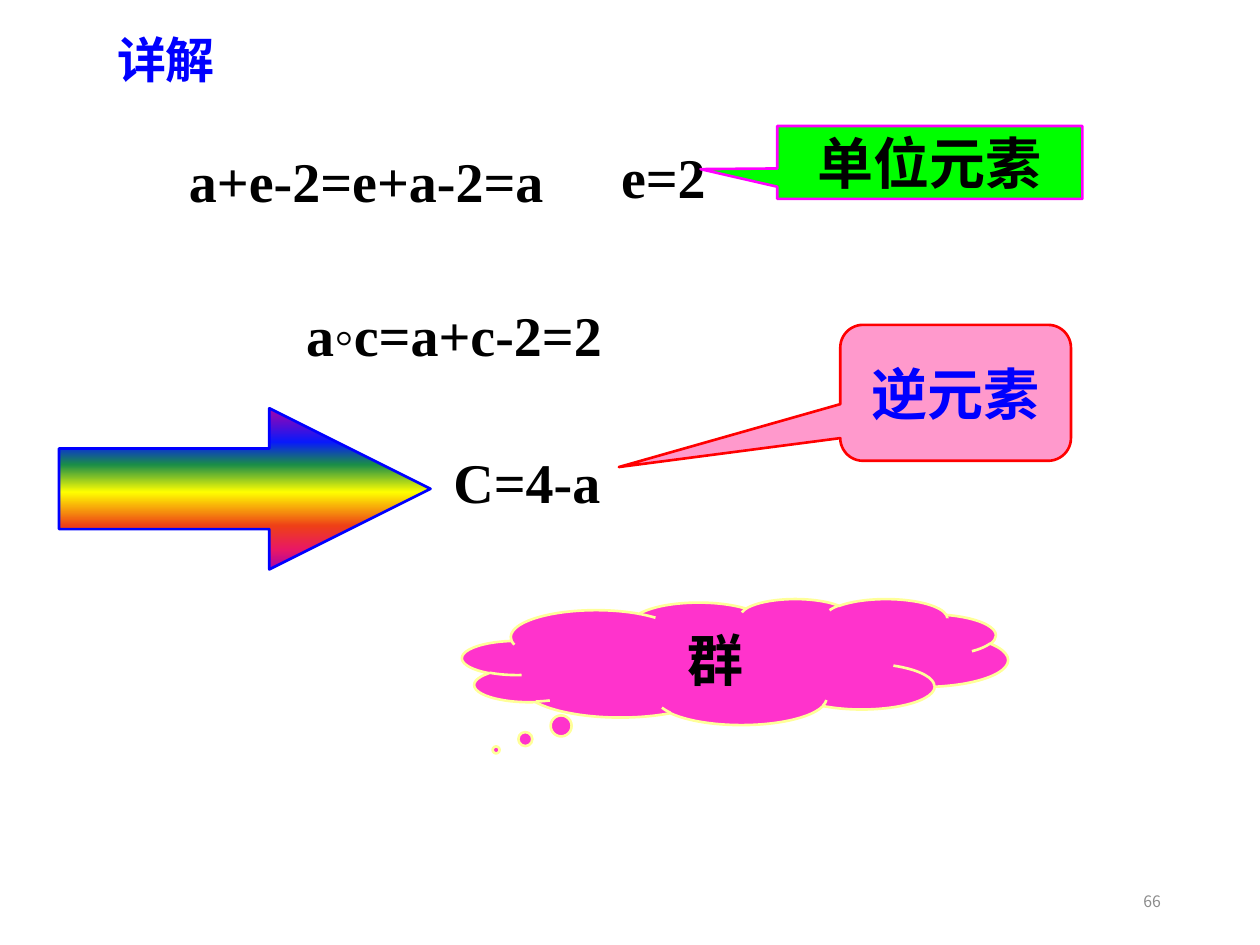
from dataclasses import dataclass

from lxml.etree import SubElement
from pptx import Presentation
from pptx.dml.color import RGBColor
from pptx.enum.shapes import MSO_SHAPE
from pptx.enum.text import MSO_ANCHOR, MSO_AUTO_SIZE, PP_ALIGN
from pptx.oxml.ns import qn
from pptx.util import Cm, Pt


@dataclass(frozen=True)
class Theme:
    black: str = "000000"
    blue: str = "0000FF"
    gray: str = "8C8C8C"
    green: str = "00FF00"
    magenta: str = "FF00FF"
    pink: str = "FF99CC"
    red: str = "FF0000"
    fuchsia: str = "FF33CC"
    cream: str = "FFFF99"
    rainbow: tuple = (
        (0, "A603AB"), (21, "0819FB"), (35, "1A8D48"), (52, "FFFF00"),
        (73, "EE3F17"), (88, "E81766"), (100, "A603AB"),
    )
    formula_font: str = "Times New Roman"
    heading_font: str = "Noto Sans CJK SC"
    formula_size: int = 32
    heading_size: int = 28
    number_size: int = 9
    outline: float = 1.5


THEME = Theme()


@dataclass(frozen=True)
class Box:
    left: float
    top: float
    width: float
    height: float

    def inner(self, left, top, width, height):
        return Box(self.left + left, self.top + top, width, height)

    def lengths(self):
        return [Cm(n) for n in (self.left, self.top, self.width, self.height)]


def apply(target, formats):
    for attribute, value in formats.items():
        setattr(target, attribute, value)


def write(holder, words, color=THEME.black, size=THEME.formula_size,
          font=THEME.formula_font, bold=True, align=PP_ALIGN.LEFT,
          anchor=MSO_ANCHOR.TOP):
    frame = holder.text_frame
    apply(frame, {
        "text": words,
        "word_wrap": True,
        "auto_size": MSO_AUTO_SIZE.NONE,
        "vertical_anchor": anchor,
        "margin_left": Cm(0.25),
        "margin_right": Cm(0.25),
        "margin_top": Cm(0.13),
        "margin_bottom": Cm(0.13),
    })
    paragraph = frame.paragraphs[0]
    paragraph.alignment = align
    run_font = paragraph.runs[0].font
    apply(run_font, {"name": font, "size": Pt(size), "bold": bold})
    run_font.color.rgb = RGBColor.from_string(color)


def formula(slide, box, words):
    write(slide.shapes.add_textbox(*box.lengths()), words)


def outlined(slide, box, preset, line_color, adjustments):
    figure = slide.shapes.add_shape(preset, *box.lengths())
    figure.shadow.inherit = False
    figure.line.color.rgb = RGBColor.from_string(line_color)
    figure.line.width = Pt(THEME.outline)
    for index, value in enumerate(adjustments):
        figure.adjustments[index] = value
    return figure


def callout(slide, box, preset, words, fill, line, adjustments, color=THEME.black):
    bubble = outlined(slide, box, preset, line, adjustments)
    bubble.fill.solid()
    bubble.fill.fore_color.rgb = RGBColor.from_string(fill)
    write(bubble, words, color, align=PP_ALIGN.CENTER, anchor=MSO_ANCHOR.MIDDLE)


def rainbow_arrow(slide, box):
    arrow = outlined(slide, box, MSO_SHAPE.RIGHT_ARROW, THEME.blue, (0.5, 1))
    arrow.fill.gradient()
    arrow.fill.gradient_angle = 270
    stops = arrow.element.spPr.find(".//" + qn("a:gsLst"))
    for stop in list(stops):
        stops.remove(stop)
    for percent, color in THEME.rainbow:
        stop = SubElement(stops, qn("a:gs"), pos=str(percent * 1000))
        SubElement(stop, qn("a:srgbClr"), val=color)


def heading(slide, box):
    title = slide.shapes.title
    apply(title, dict(zip(("left", "top", "width", "height"), box.lengths())))
    write(title, "详解", THEME.blue, THEME.heading_size, THEME.heading_font)


def identity_element(slide, box):
    formula(slide, box.inner(0, 0.28, 8.51, 1.63), "a+e-2=e+a-2=a")
    formula(slide, box.inner(8.71, 0.2, 5.54, 1.63), "e=2")
    callout(slide, box.inner(12.11, 0, 6.15, 1.47),
            MSO_SHAPE.RECTANGULAR_CALLOUT, "单位元素",
            THEME.green, THEME.magenta, (-0.752, 0.092))


def inverse_element(slide, box):
    formula(slide, box.inner(4.73, 0, 8.26, 1.63), "a◦c=a+c-2=2")
    formula(slide, box.inner(7.7, 2.97, 6.4, 1.63), "C=4-a")
    rainbow_arrow(slide, box.inner(0, 2.31, 7.49, 3.25))
    callout(slide, box.inner(15.75, 0.63, 4.65, 2.74),
            MSO_SHAPE.ROUNDED_RECTANGULAR_CALLOUT, "逆元素",
            THEME.pink, THEME.red, (-1.46, 0.546, 0.167), THEME.blue)


def conclusion(slide, box):
    callout(slide, box, MSO_SHAPE.CLOUD_CALLOUT, "群",
            THEME.fuchsia, THEME.cream, (-0.438, 0.7))


def page_number(slide, box):
    write(slide.shapes.add_textbox(*box.lengths()), "66", THEME.gray,
          THEME.number_size, THEME.heading_font, False,
          PP_ALIGN.RIGHT, MSO_ANCHOR.MIDDLE)


def main():
    deck = Presentation()
    apply(deck, {"slide_width": Cm(25.4), "slide_height": Cm(19.05)})
    slide = deck.slides.add_slide(deck.slide_layouts.get_by_name("Title Only"))
    heading(slide, Box(2.11, 0.46, 7.82, 1.45))
    identity_element(slide, Box(3.56, 2.54, 18.26, 1.91))
    inverse_element(slide, Box(1.19, 5.92, 20.4, 5.56))
    conclusion(slide, Box(9.32, 12.07, 11, 2.54))
    page_number(slide, Box(17.93, 17.65, 5.72, 1.02))
    deck.save("out.pptx")


if __name__ == "__main__":
    main()
